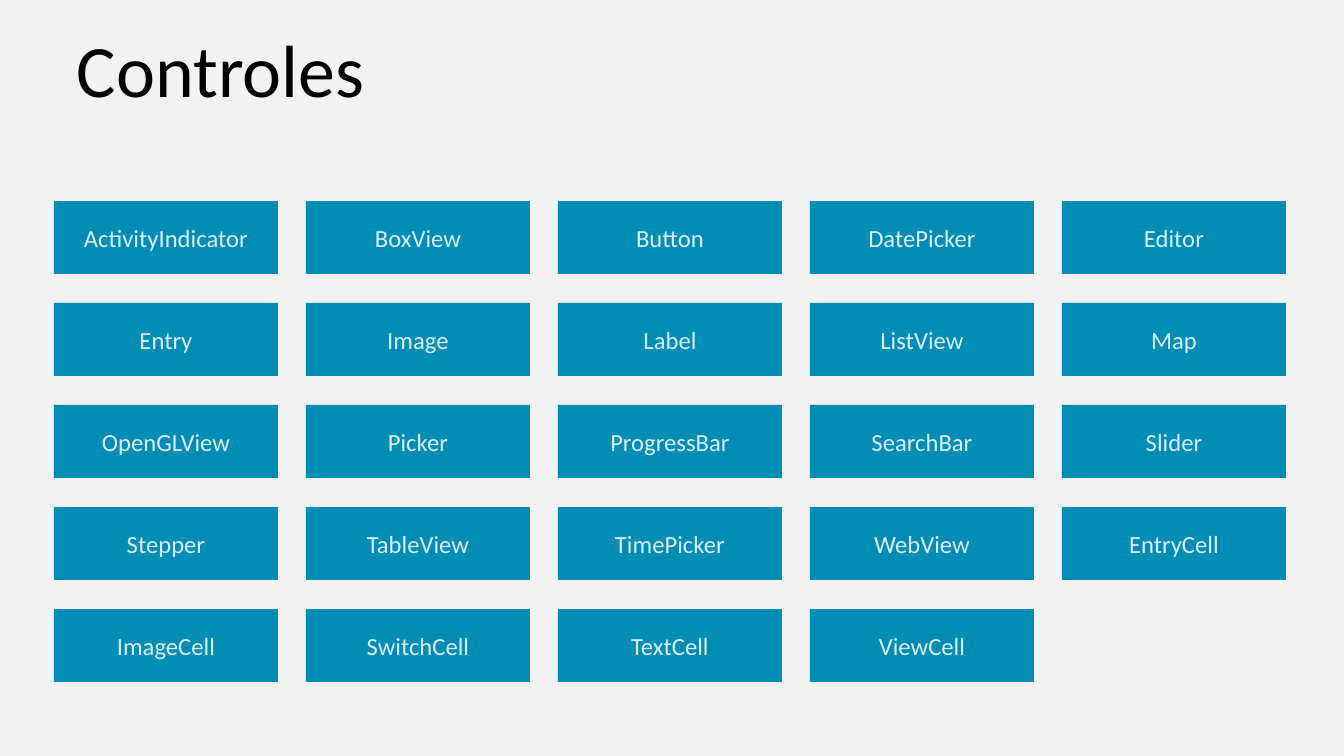
"""Build the slide that lists the controls as a grid of tiles."""
from dataclasses import dataclass

from pptx import Presentation
from pptx.dml.color import RGBColor
from pptx.enum.shapes import MSO_SHAPE
from pptx.enum.text import MSO_ANCHOR, MSO_AUTO_SIZE, PP_ALIGN
from pptx.slide import Slide
from pptx.text.text import TextFrame
from pptx.util import Emu, Inches, Pt

PIXELS_PER_INCH = 100.8
FONT_NAME = "Calibri"
BACKGROUND = RGBColor(0xF2, 0xF2, 0xF2)
TILE_FILL = RGBColor(0x00, 0x8D, 0xB5)
TILE_TEXT = RGBColor(0xDB, 0xEF, 0xF9)
TITLE_TEXT = RGBColor(0x00, 0x00, 0x00)

COLUMNS = 5
GRID_LEFT, GRID_TOP = 54, 201
COLUMN_PITCH, ROW_PITCH = 252, 102
TILE_WIDTH, TILE_HEIGHT = 224, 73

CONTROLS = (
    "ActivityIndicator", "BoxView", "Button", "DatePicker", "Editor",
    "Entry", "Image", "Label", "ListView", "Map",
    "OpenGLView", "Picker", "ProgressBar", "SearchBar", "Slider",
    "Stepper", "TableView", "TimePicker", "WebView", "EntryCell",
    "ImageCell", "SwitchCell", "TextCell", "ViewCell",
)


@dataclass(frozen=True)
class ControlTile:
    label: str
    left: int
    top: int


def px(length: int) -> Emu:
    return Inches(length / PIXELS_PER_INCH)


def write_text(frame: TextFrame, text: str, size: float,
               color: RGBColor, alignment: PP_ALIGN) -> None:
    paragraph = frame.paragraphs[0]
    paragraph.alignment = alignment
    run = paragraph.add_run()
    run.text = text
    run.font.name = FONT_NAME
    run.font.size = Pt(size)
    run.font.color.rgb = color


def set_title(slide: Slide, text: str) -> None:
    title = slide.shapes.title
    title.left, title.top = px(67), px(41)
    title.width, title.height = px(1210), px(81)
    frame = title.text_frame
    frame.auto_size = MSO_AUTO_SIZE.NONE
    frame.vertical_anchor = MSO_ANCHOR.BOTTOM
    frame.margin_left = frame.margin_right = px(10)
    frame.margin_top = frame.margin_bottom = px(10)
    write_text(frame, text, 52.8, TITLE_TEXT, PP_ALIGN.LEFT)


def draw_tile(slide: Slide, tile: ControlTile) -> None:
    shape = slide.shapes.add_shape(
        MSO_SHAPE.ROUNDED_RECTANGLE, px(tile.left), px(tile.top),
        px(TILE_WIDTH), px(TILE_HEIGHT))
    shape.adjustments[0] = 0
    shape.shadow.inherit = False
    shape.fill.solid()
    shape.fill.fore_color.rgb = TILE_FILL
    shape.line.fill.background()
    shape.text_frame.word_wrap = True
    shape.text_frame.vertical_anchor = MSO_ANCHOR.MIDDLE
    write_text(shape.text_frame, tile.label, 17.6, TILE_TEXT, PP_ALIGN.CENTER)


def main() -> None:
    presentation = Presentation()
    presentation.slide_width, presentation.slide_height = px(1344), px(756)
    slide = presentation.slides.add_slide(presentation.slide_layouts[5])
    slide.background.fill.solid()
    slide.background.fill.fore_color.rgb = BACKGROUND
    set_title(slide, "Controles")
    for index, label in enumerate(CONTROLS):
        row, column = divmod(index, COLUMNS)
        draw_tile(slide, ControlTile(label, GRID_LEFT + column * COLUMN_PITCH,
                                     GRID_TOP + row * ROW_PITCH))
    presentation.save("out.pptx")


if __name__ == "__main__":
    main()
